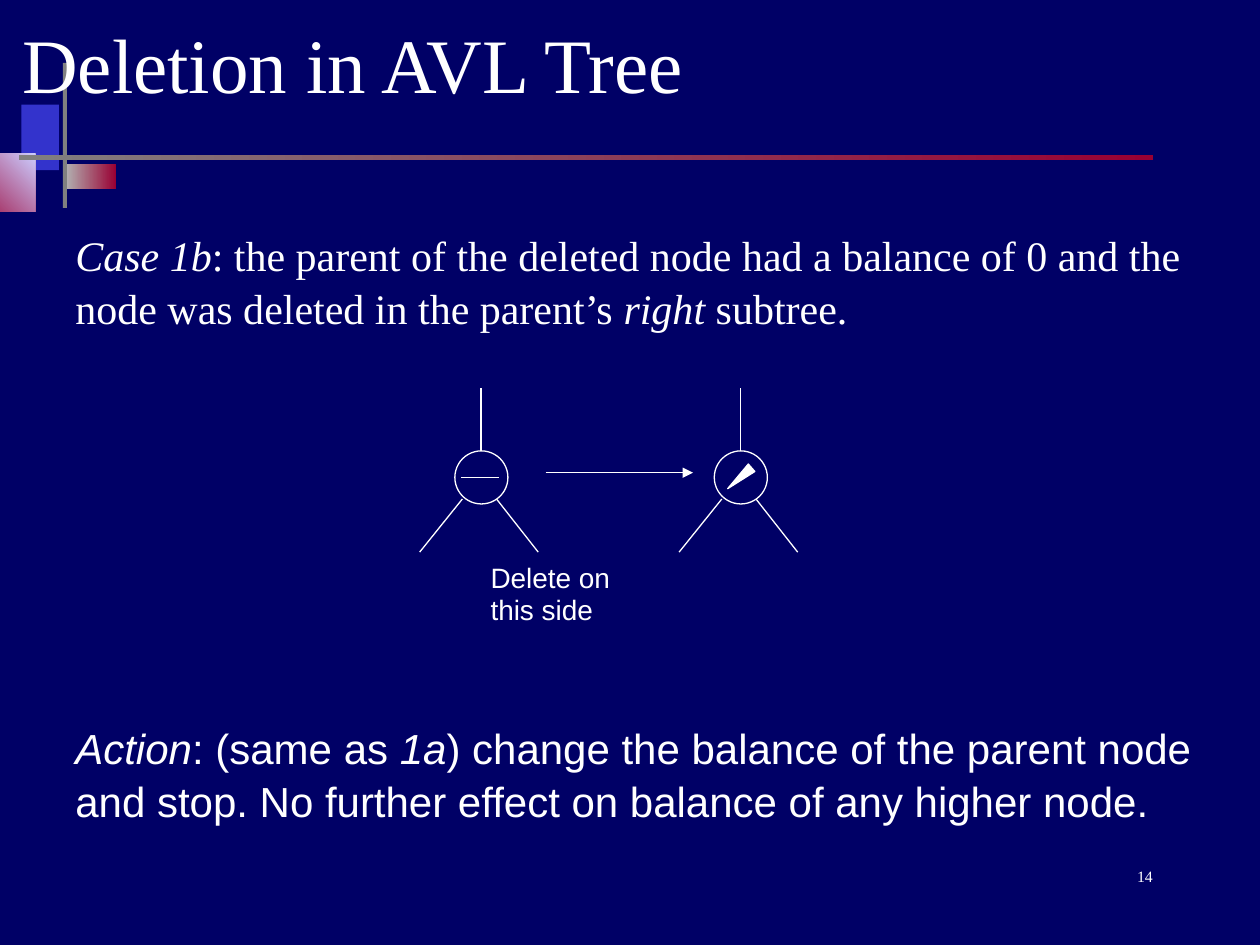
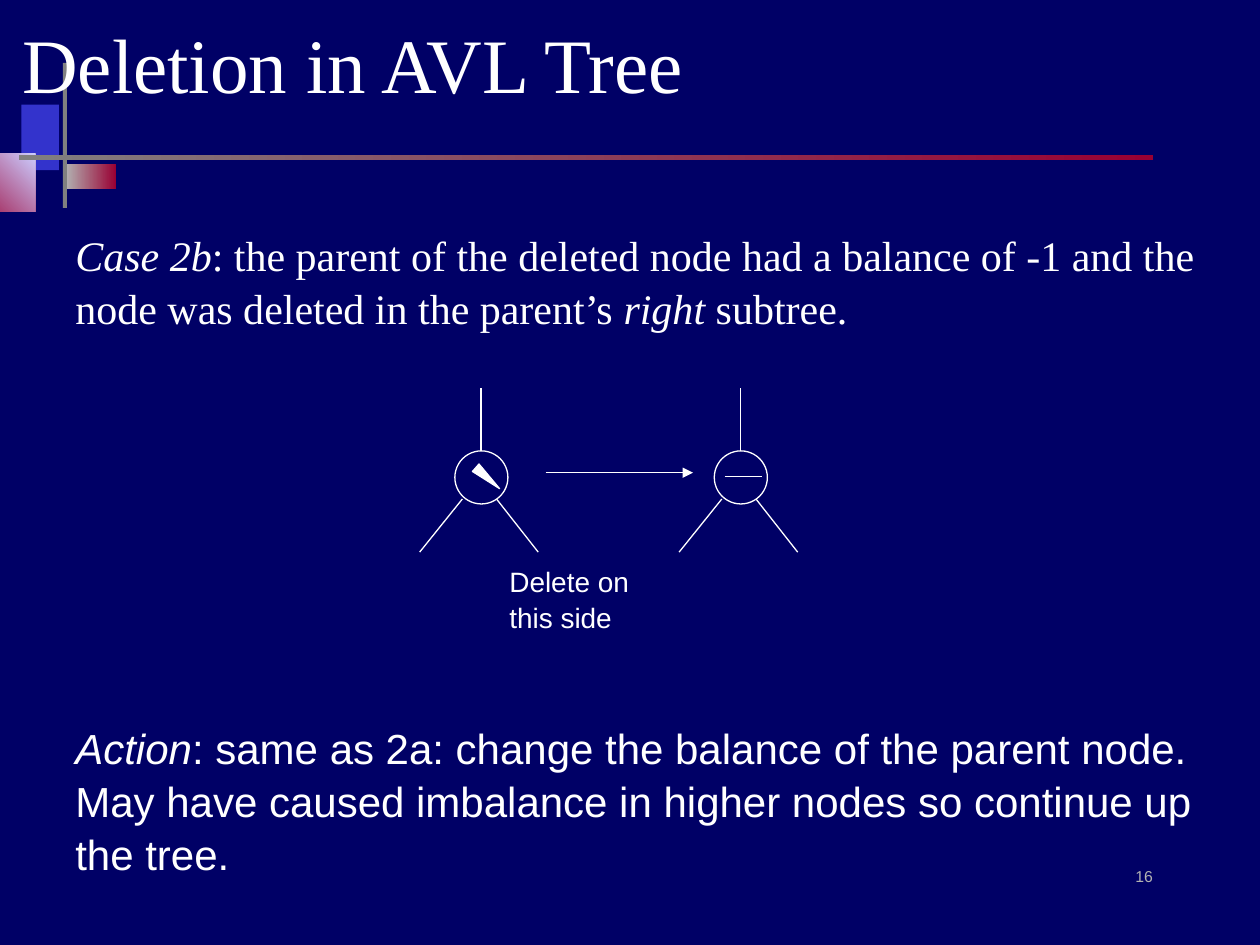
"""Build two slides on deletion cases in an AVL tree."""
import pptx
import pptx.dml.color
import pptx.enum.shapes
import pptx.enum.text
import pptx.oxml
import pptx.oxml.ns
import pptx.util

Cm = pptx.util.Cm
Pt = pptx.util.Pt
SHAPES = pptx.enum.shapes.MSO_SHAPE
ALIGN = pptx.enum.text.PP_ALIGN
ANCHOR = pptx.enum.text.MSO_ANCHOR

COLORS = {
    name: pptx.dml.color.RGBColor.from_string(value)
    for name, value in {
        "navy": "000066", "white": "FFFFFF", "blue": "3333CC", "silver": "B2B2B2",
        "crimson": "990033", "lavender": "CCCCFF", "gray": "808080",
    }.items()
}
SERIF, SANS = "Times New Roman", "Arial"

DECORATIONS = [
    ((0.43, 2.11, 0.76, 1.32), ["blue"], 0),
    ((1.32, 3.3, 1.02, 0.51), ["silver", "crimson"], 0),
    ((-0.84, 3.1, 1.55, 1.17), ["crimson", "lavender"], 45),
    ((1.27, 1.27, 0.08, 2.92), ["gray"], 0),
    ((0.38, 3.12, 22.86, 0.1), ["gray", "crimson"], 0),
]

NODE_LEFTS = [9.17, 14.4]
NODE_TOP, NODE_SIZE = 9.09, 1.07
BRANCHES = [
    ((0.53, 9.09), (0.53, 7.82)),
    ((0.15, 10.06), (-0.71, 11.13)),
    ((0.84, 10.06), (1.68, 11.13)),
]

CASES = [
    {
        "number": "14", "number_font": SERIF, "number_color": "white",
        "case": [
            ("Case 1b", True),
            (": the parent of the deleted node had a balance of 0 and the node "
             "was deleted in the parent’s ", False),
            ("right", True), (" subtree.", False),
        ],
        "action": [
            ("Action", True), (": (same as ", False), ("1a", True),
            (") change the balance of the parent node and stop. No further "
             "effect on balance of any higher node.", False),
        ],
        "action_height": 2.34,
        "label_frame": (8.69, 11.23, 4.5, 1.47), "label_spacing": 0.95,
        "dash": (9.3, 9.63), "wedge_left": 14.81, "wedge_rotation": 228.8,
    },
    {
        "number": "16", "number_font": SANS, "number_color": "silver",
        "case": [
            ("Case 2b", True),
            (": the parent of the deleted node had a balance of -1 and the node "
             "was deleted in the parent’s ", False),
            ("right", True), (" subtree.", False),
        ],
        "action": [
            ("Action", True),
            (": same as 2a: change the balance of the parent node. May have "
             "caused imbalance in higher nodes so continue up the tree.", False),
        ],
        "action_height": 3.38,
        "label_frame": (9.07, 11.23, 4.5, 1.63), "label_spacing": 1.05,
        "dash": (14.61, 9.6), "wedge_left": 9.73, "wedge_rotation": 131.2,
    },
]


def add_text(page, frame, runs, font, size, color="white", anchor=ANCHOR.TOP,
             indent=0, **paragraph_format):
    box = page.shapes.add_textbox(*map(Cm, frame))
    box.text_frame.word_wrap = True
    box.text_frame.vertical_anchor = anchor
    para = box.text_frame.paragraphs[0]
    for name, value in paragraph_format.items():
        setattr(para, name, value)
    if indent:
        properties = para._p.get_or_add_pPr()
        properties.set("marL", str(Cm(indent)))
        properties.set("indent", "0")
    for text, italic in runs:
        span = para.add_run()
        span.text = text
        for name, value in {"name": font, "size": Pt(size), "italic": italic}.items():
            setattr(span.font, name, value)
        span.font.color.rgb = COLORS[color]


def add_line(page, start, end, arrow=False):
    line = page.shapes.add_connector(
        pptx.enum.shapes.MSO_CONNECTOR.STRAIGHT, *map(Cm, (*start, *end)))
    line.line.color.rgb = COLORS["white"]
    line.line.width = Pt(0.75)
    if arrow:
        head = pptx.oxml.parse_xml(
            f'<a:tailEnd {pptx.oxml.ns.nsdecls("a")} type="triangle"/>')
        line.line._get_or_add_ln().append(head)
    line._element.spPr.append(
        pptx.oxml.parse_xml(f'<a:effectLst {pptx.oxml.ns.nsdecls("a")}/>'))


deck = pptx.Presentation()
deck.slide_width, deck.slide_height = Cm(25.4), Cm(19.05)
background = deck.slide_master.background.fill
background.solid()
background.fore_color.rgb = COLORS["navy"]

for case in CASES:
    page = deck.slides.add_slide(deck.slide_layouts[6])

    for frame, tones, angle in DECORATIONS:
        bar = page.shapes.add_shape(SHAPES.RECTANGLE, *map(Cm, frame))
        bar.shadow.inherit = False
        bar.line.fill.background()
        if len(tones) == 1:
            bar.fill.solid()
            bar.fill.fore_color.rgb = COLORS[tones[0]]
        else:
            bar.fill.gradient()
            bar.fill.gradient_angle = angle
            for position, (stop, tone) in enumerate(zip(bar.fill.gradient_stops, tones)):
                stop.position = position
                stop.color.rgb = COLORS[tone]

    add_text(page, (18.21, 17.35, 5.28, 1.27), [(case["number"], False)],
             case["number_font"], 9, case["number_color"], alignment=ALIGN.RIGHT)
    add_text(page, (0.2, 0, 22.86, 2.54), [("Deletion in AVL Tree", False)],
             SERIF, 44, anchor=ANCHOR.MIDDLE)
    add_text(page, (1.27, 4.45, 24.13, 2.34), case["case"], SERIF, 24, line_spacing=1.05)
    add_text(page, (1.27, 14.4, 24.13, case["action_height"]), case["action"],
             SANS, 24, line_spacing=1.05)

    for left in NODE_LEFTS:
        node = page.shapes.add_shape(
            SHAPES.OVAL, Cm(left), Cm(NODE_TOP), Cm(NODE_SIZE), Cm(NODE_SIZE))
        node.shadow.inherit = False
        node.fill.background()
        node.line.color.rgb = COLORS["white"]
        node.line.width = Pt(0.75)
        for (start_x, start_y), (end_x, end_y) in BRANCHES:
            add_line(page, (left + start_x, start_y), (left + end_x, end_y))

    dash_left, dash_top = case["dash"]
    add_line(page, (dash_left, dash_top), (dash_left + 0.76, dash_top))
    add_line(page, (11, 9.53), (13.97, 9.53), arrow=True)

    wedge = page.shapes.add_shape(
        SHAPES.ISOSCELES_TRIANGLE, Cm(case["wedge_left"]), Cm(9.32), Cm(0.2), Cm(0.64))
    wedge.shadow.inherit = False
    wedge.rotation = case["wedge_rotation"]
    wedge.fill.solid()
    wedge.fill.fore_color.rgb = COLORS["white"]
    wedge.line.color.rgb = COLORS["white"]
    wedge.line.width = Pt(0.75)

    add_text(page, case["label_frame"], [("Delete on this side", False)], SANS, 16,
             indent=0.95, line_spacing=case["label_spacing"])

deck.save("out.pptx")
